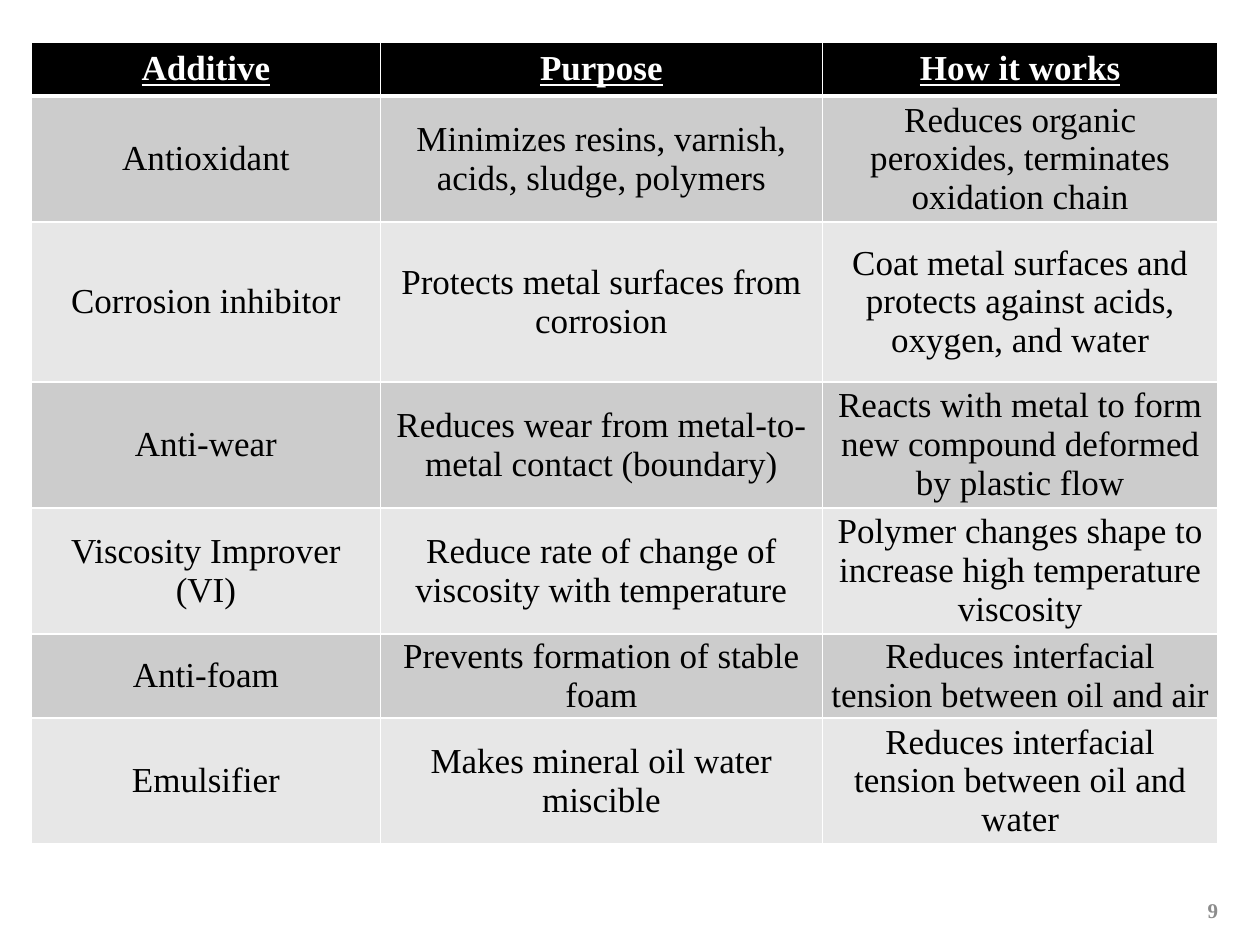
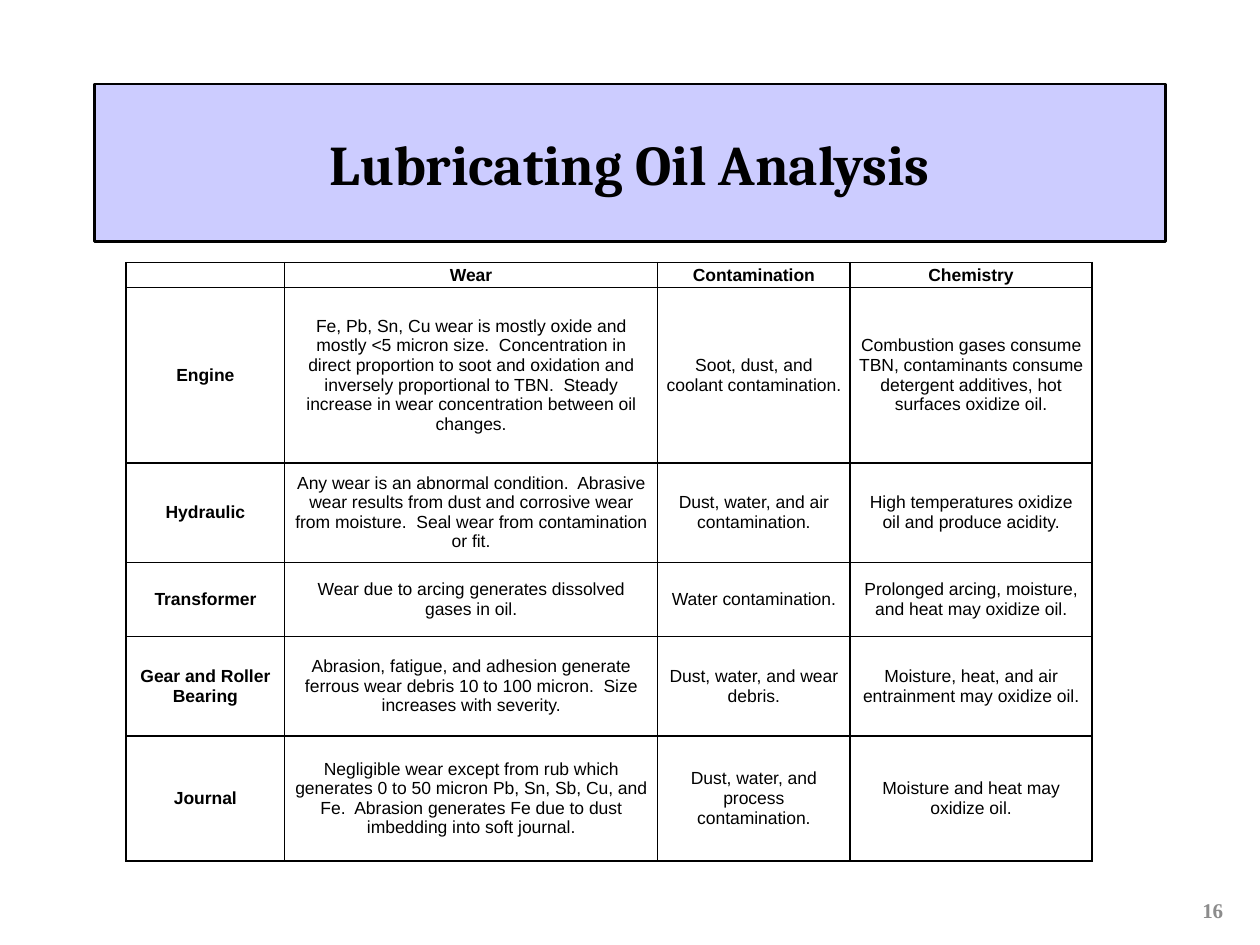
from dataclasses import dataclass

from lxml.etree import SubElement
from pptx import Presentation
from pptx.dml.color import RGBColor
from pptx.enum.text import MSO_ANCHOR, PP_ALIGN
from pptx.oxml.ns import qn
from pptx.util import Inches, Pt


@dataclass(frozen=True)
class Theme:
    """Colours, fonts and type sizes shared by the slides."""
    black: str = "000000"
    white: str = "FFFFFF"
    band_dark: str = "CCCCCC"
    band_light: str = "E7E7E7"
    title_fill: str = "CCCCFF"
    number_grey: str = "8C8C8C"
    serif: str = "Times New Roman"
    sans: str = "Arial"
    title_font: str = "Cambria"
    title_size: int = 32
    additive_size: int = 20
    analysis_size: int = 10
    number_size: int = 12


T = Theme()
WIDTH, HEIGHT = Inches(10), Inches(7.5)
GRID_COLS, GRID_ROWS = 120, 90
TITLE_BOX = (9, 8, 102, 15)
NUMBER_BOX = (111, 83.4, 9, 6.6)
ADDITIVE_BOX = (3, 4, 113, 76.4)
ANALYSIS_BOX = (12, 25, 92, 57)

ADDITIVE_COLS = (2.77, 3.51, 3.14)
ADDITIVE_ROWS = (0.43, 1, 1.27, 1, 1, 0.67, 1)
ADDITIVES = [
    ("Additive", "Purpose", "How it works"),
    ("Antioxidant", "Minimizes resins, varnish, acids, sludge, polymers",
     "Reduces organic peroxides, terminates oxidation chain"),
    ("Corrosion inhibitor", "Protects metal surfaces from corrosion",
     "Coat metal surfaces and protects against acids, oxygen, and water"),
    ("Anti-wear", "Reduces wear from metal-to-metal contact (boundary)",
     "Reacts with metal to form new compound deformed by plastic flow"),
    ("Viscosity Improver (VI)", "Reduce rate of change of viscosity with temperature",
     "Polymer changes shape to increase high temperature viscosity"),
    ("Anti-foam", "Prevents formation of stable foam",
     "Reduces interfacial tension between oil and air"),
    ("Emulsifier", "Makes mineral oil water miscible",
     "Reduces interfacial tension between oil and water"),
]

ANALYSIS_COLS = (1.26, 2.96, 1.53, 1.92)
ANALYSIS_ROWS = (0.2, 1.39, 0.79, 0.59, 0.79, 0.99)
ANALYSES = [
    ("", "Wear", "Contamination", "Chemistry"),
    ("Engine",
     "Fe, Pb, Sn, Cu wear is mostly oxide and mostly <5 micron size.  Concentration in "
     "direct proportion to soot and oxidation and inversely proportional to TBN.  Steady "
     "increase in wear concentration between oil changes.",
     "Soot, dust, and coolant contamination.",
     "Combustion gases consume TBN, contaminants consume detergent additives, "
     "hot surfaces oxidize oil."),
    ("Hydraulic",
     "Any wear is an abnormal condition.  Abrasive wear results from dust and corrosive "
     "wear from moisture.  Seal wear from contamination or fit.",
     "Dust, water, and air contamination.",
     "High temperatures oxidize oil and produce acidity."),
    ("Transformer", "Wear due to arcing generates dissolved gases in oil.",
     "Water contamination.", "Prolonged arcing, moisture, and heat may oxidize oil."),
    ("Gear and Roller Bearing",
     "Abrasion, fatigue, and adhesion generate ferrous wear debris 10 to 100 micron.  "
     "Size increases with severity.",
     "Dust, water, and wear debris.",
     "Moisture, heat, and air entrainment may oxidize oil."),
    ("Journal",
     "Negligible wear except from rub which generates 0 to 50 micron Pb, Sn, Sb, Cu, and "
     "Fe.  Abrasion generates Fe due to dust imbedding into soft journal.",
     "Dust, water, and process contamination.", "Moisture and heat may oxidize oil."),
]


def rgb(color):
    """Turn a hex string into a colour."""
    return RGBColor.from_string(color)


def place(box):
    """Turn a box in grid units into slide lengths."""
    x, y, w, h = box
    return (int(WIDTH * x / GRID_COLS), int(HEIGHT * y / GRID_ROWS),
            int(WIDTH * w / GRID_COLS), int(HEIGHT * h / GRID_ROWS))


def write(tf, text, font, size, color, bold=False, underline=False):
    """Write one centred run into a text frame."""
    tf.word_wrap = True
    p = tf.paragraphs[0]
    p.alignment = PP_ALIGN.CENTER
    if not text:
        SubElement(p._p, qn("a:endParaRPr"), sz=str(size * 100))
        return
    r = p.add_run()
    r.text = text
    r.font.name, r.font.size = font, Pt(size)
    r.font.bold, r.font.underline = bold, underline
    r.font.color.rgb = rgb(color)


def set_borders(cell, color, bottom=1):
    """Draw the four borders of a cell, one point wide except the bottom."""
    tc_pr = cell._tc.get_or_add_tcPr()
    for side, width in (("L", 1), ("R", 1), ("T", 1), ("B", bottom)):
        ln = SubElement(tc_pr, qn(f"a:ln{side}"), w=str(Pt(width)))
        fill = SubElement(ln, qn("a:solidFill"))
        SubElement(fill, qn("a:srgbClr"), val=color)


def add_grid(s, box, cols, rows, data, style):
    """Fill a box with a table whose cells are drawn by a style function."""
    x, y, w, h = place(box)
    table = s.shapes.add_table(len(rows), len(cols), x, y, w, h).table
    table.first_row = table.horz_banding = False
    for col, share in zip(table.columns, cols):
        col.width = int(w * share / sum(cols))
    for row, share in zip(table.rows, rows):
        row.height = int(h * share / sum(rows))
    for i, texts in enumerate(data):
        for j, text in enumerate(texts):
            cell = table.cell(i, j)
            cell.vertical_anchor = MSO_ANCHOR.MIDDLE
            cell.margin_left = cell.margin_right = Inches(0.07)
            cell.margin_top = cell.margin_bottom = 0
            style(cell, text, i, j)


def additive_cell(cell, text, i, j):
    """Style a cell with a black header and grey bands."""
    head = i == 0
    set_borders(cell, T.white, 3 if head else 1)
    band = T.band_dark if i % 2 else T.band_light
    cell.fill.solid()
    cell.fill.fore_color.rgb = rgb(T.black if head else band)
    write(cell.text_frame, text, T.serif, T.additive_size,
          T.white if head else T.black, head, head)


def analysis_cell(cell, text, i, j):
    """Style an unfilled cell with bold headings on top and at left."""
    set_borders(cell, T.black)
    cell.fill.background()
    write(cell.text_frame, text, T.sans, T.analysis_size, T.black, i == 0 or j == 0)


def add_title(s, text):
    """Format the title placeholder as a framed band."""
    sp = s.shapes.title
    sp.left, sp.top, sp.width, sp.height = place(TITLE_BOX)
    sp.fill.solid()
    sp.fill.fore_color.rgb = rgb(T.title_fill)
    sp.line.color.rgb = rgb(T.black)
    sp.line.width = Pt(1.5)
    sp.text_frame.vertical_anchor = MSO_ANCHOR.MIDDLE
    write(sp.text_frame, text, T.title_font, T.title_size, T.black, True)


def add_number(s, number):
    """Write the page number in the lower right corner."""
    tf = s.shapes.add_textbox(*place(NUMBER_BOX)).text_frame
    tf.vertical_anchor = MSO_ANCHOR.MIDDLE
    write(tf, str(number), T.serif, T.number_size, T.number_grey, True)


def additive_slide(prs):
    """Build the slide of oil additives."""
    s = prs.slides.add_slide(prs.slide_layouts.get_by_name("Blank"))
    add_grid(s, ADDITIVE_BOX, ADDITIVE_COLS, ADDITIVE_ROWS, ADDITIVES, additive_cell)
    add_number(s, 9)


def analysis_slide(prs):
    """Build the slide of oil analysis by machine type."""
    s = prs.slides.add_slide(prs.slide_layouts.get_by_name("Title Only"))
    add_title(s, "Lubricating Oil Analysis")
    add_grid(s, ANALYSIS_BOX, ANALYSIS_COLS, ANALYSIS_ROWS, ANALYSES, analysis_cell)
    add_number(s, 16)


def main():
    """Build and save the presentation."""
    prs = Presentation()
    prs.slide_width, prs.slide_height = WIDTH, HEIGHT
    additive_slide(prs)
    analysis_slide(prs)
    prs.save("out.pptx")


if __name__ == "__main__":
    main()
